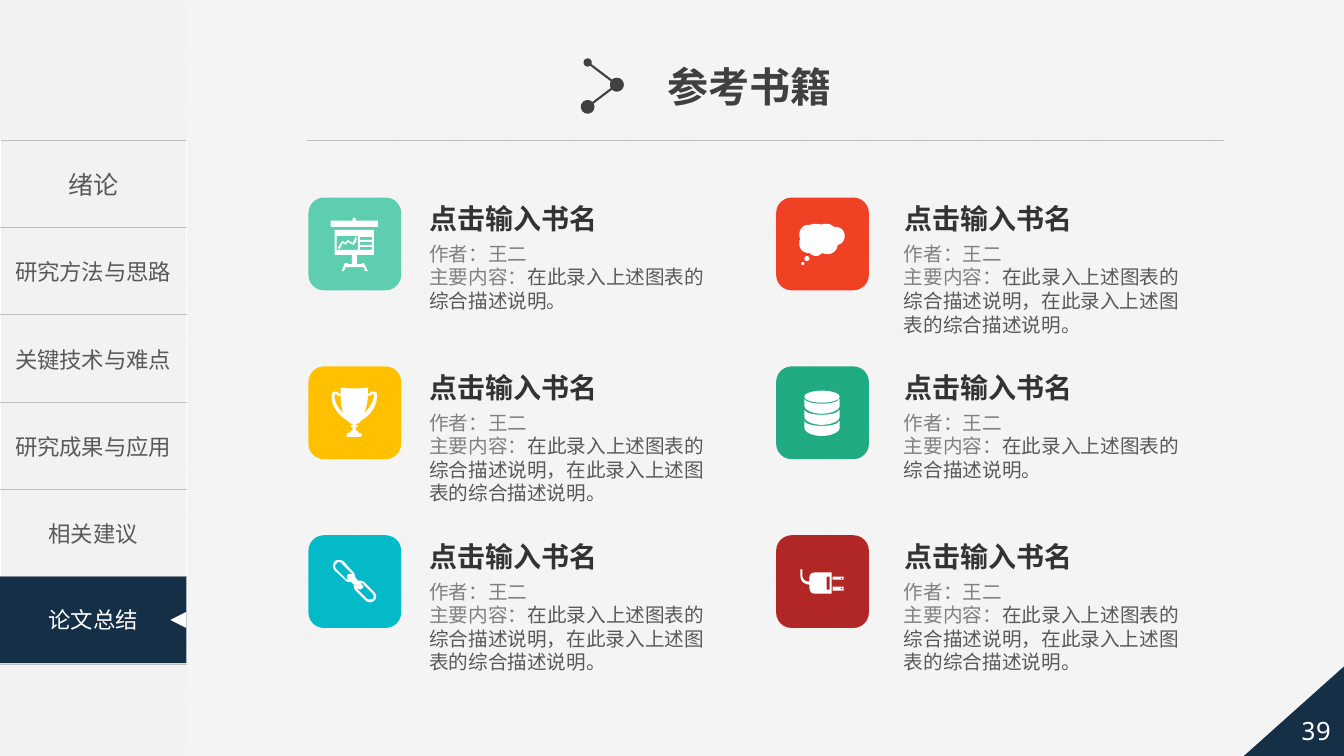
"""Build the reference books slide with its chapter sidebar."""
from dataclasses import dataclass

from lxml.etree import SubElement
from pptx import Presentation
from pptx.dml.color import RGBColor
from pptx.enum.dml import MSO_PATTERN
from pptx.enum.shapes import MSO_CONNECTOR, MSO_SHAPE as Kind
from pptx.enum.text import MSO_ANCHOR as Anchor, PP_ALIGN as Align
from pptx.oxml.ns import qn
from pptx.util import Pt

WHITE, PALE, RULE, GREY, SLATE, DARK, INK, NAVY = map(
    RGBColor.from_string, "FFFFFF F2F2F2 BFBFBF 808080 595959 404040 333333 152F47".split())
MINT, RED, GOLD, GREEN, CYAN, BRICK = map(
    RGBColor.from_string, "5DCEAF F14124 FFC000 21AB82 05BAC8 B12725".split())

SANS = "Noto Sans CJK SC"
UNIT, FINE = 0.72, 100
SIDE, TOP, ROW = 133.2, 100.08, 62.4
COLS, TEXTS = (220.32, 554.4), (299.52, 638.64)
FIRST, STEP, TILE = 141.12, 120.6, 66.24
NOTE = "在此录入上述图表的综合描述说明"
SHORT, LONG = f"{NOTE}。", f"{NOTE}，{NOTE}。"
CHAPTERS = ("绪论", "研究方法与思路", "关键技术与难点", "研究成果与应用", "相关建议", "论文总结")

@dataclass(frozen=True)
class Icon:
    forms: tuple[tuple[str, ...], ...]
    dots: tuple[tuple[float, ...], ...] = ()

@dataclass(frozen=True)
class Book:
    color: RGBColor
    icon: Icon
    about: str

def rect(left: int, top: int, right: int, base: int) -> str:
    return f"{left},{top} {right},{top} {right},{base} {left},{base}"

def disc(y: int) -> str:
    return (f"62,{y} 62,{y + 3}~55,{y + 5}~45,{y + 5} 36,{y + 5}~29,{y + 3}~28,{y} 28,{y + 7} "
            f"28,{y + 11}~36,{y + 15}~45,{y + 15} 55,{y + 15}~63,{y + 11}~63,{y + 7} 63,{y + 1}")

def prong(top: int, base: int, mid: int) -> tuple[str, str]:
    return rect(56, top, 67, base), f"64,{mid} 65,{mid - 1} 66,{mid} 65,{mid + 1}"

BOARD = Icon((
    ("47,23 47,21 47,21~46,20~45,20 45,20~44,21~44,21 44,23 22,23 22,29 69,29 69,23",),
    ("65,57 65,32 26,32 26,57 43,57 43,66 39,66 39,65 36,65 33,73 35,73 37,69 55,69 "
     "56,73 59,73 55,65 53,65 53,66 48,66 48,57",
     *(rect(51, y, 63, y + 3) for y in (39, 44, 49)), rect(28, 38, 49, 52)),
    ("45,43 44,45 42,44 39,42 38,43 37,45 34,43 33,44 29,50 31,51 34,45 36,46 37,47 "
     "39,44 41,45 45,47 47,44 48,41 47,39",)))
CLOUD = Icon(((
    "68,38 68,33~64,29~59,29 58,29~57,29~57,29 55,27~53,26~50,26 48,26~46,26~45,27 "
    "43,26~41,26~40,26 37,26~36,26~34,27 33,27~33,27~32,27 27,27~23,31~23,37 "
    "23,38~23,40~24,41 23,42~23,44~23,46 23,51~27,55~32,55 33,55 34,56~37,58~40,58 "
    "42,58~44,56~46,55 48,56~49,56~52,56 56,56~61,52~61,47 65,46~68,43~68,38",),),
    ((28, 58, 5, 5), (25, 64, 3, 3)))
CUP = Icon(((
    "52,54 69,44~68,30~68,30 68,29 68,29~69,25~65,25 63,25 61,25~61,27~61,27 59,27 59,21 "
    "43,23~32,21~32,21 32,27 30,27 30,27~30,25~28,25 27,25 23,25~23,29~23,29 23,30 "
    "23,30~22,44~39,54 39,54~41,57~44,57 44,58 44,58~42,58~42,59 42,61~44,60~44,60 44,62 "
    "44,62~43,64~42,64 42,66~40,66~40,66 40,66~38,66~38,68 38,68~37,70~40,70 51,70 "
    "53,70~53,68~53,68 53,68~53,66~51,66 49,66~49,64~49,64 49,64~47,64~47,62 47,60 "
    "47,60~49,61~49,59 49,58~47,58~47,58 47,57 49,57~51,56~52,54",
    "59,29 61,29 63,29~63,27~63,27 65,27~65,29~65,29 65,30 65,30~64,38~55,47 57,43~59,35~59,29",
    "35,47 26,38~26,31~26,31 26,29 26,29~26,27~28,27 28,27~28,29~29,29 32,29 32,35~33,43~35,47"),))
STACK = Icon(tuple((disc(y),) for y in (43, 54, 32)), ((28, 24, 35, 12),))
CHAIN = Icon(((
    "65,56 56,47 54,45~52,45~49,45 46,41 46,40~46,37~44,36 35,26 32,24~28,24~26,26 "
    "24,29~24,32~26,35 36,44 37,46~40,47~42,46 45,49 45,51~45,53~47,55 57,65 "
    "59,67~63,67~65,65 68,63~68,59~65,56",
    "37,43 28,34 26,32~26,29~28,28 29,26~32,26~33,28 42,37 43,37~43,39~43,39 "
    "42,38~40,38~39,39 38,40~38,42~39,43 40,44 39,44~37,43~37,43",
    "64,63 62,64~59,64~58,63 49,54 48,53~48,52~48,52 49,53 51,54~52,54~53,53 "
    "55,52~55,50~53,49 52,47 53,47~54,48~55,49 63,57 65,59~65,62~64,63"),))
PLUG = Icon((
    ("33,42 33,46 26,46~26,40~26,40 26,34 24,34 24,40 24,49~33,49~33,49 33,52 "
     "33,52~33,58~38,58 55,58 55,37 38,37 33,37~33,42~33,42", rect(50, 41, 53, 54)),
    prong(51, 55, 53), prong(41, 44, 43)))
BOOKS = (Book(MINT, BOARD, SHORT), Book(RED, CLOUD, LONG), Book(GOLD, CUP, LONG),
         Book(GREEN, STACK, SHORT), Book(CYAN, CHAIN, LONG), Book(BRICK, PLUG, LONG))

def write(para, text: str, *, size: float, color: RGBColor, font: str = SANS,
          bold: bool = False, align: Align = Align.LEFT) -> None:
    para.alignment = align
    run = para.add_run()
    run.text = text
    run.font.size, run.font.bold, run.font.name = Pt(size), bold, font
    run.font.color.rgb = color
    SubElement(run.font._element, qn("a:ea"), typeface=font)

def paint(shape, color: RGBColor):
    shape.shadow.inherit = False
    shape.fill.solid()
    shape.fill.fore_color.rgb = color
    shape.line.fill.background()
    return shape

def draw(slide, kind: Kind, box: tuple[float, ...], color: RGBColor):
    return paint(slide.shapes.add_shape(kind, *map(Pt, box)), color)

def frame(slide, box: tuple[float, ...], wrap: bool = False):
    area = slide.shapes.add_textbox(*map(Pt, box)).text_frame
    area.word_wrap = wrap
    return area

def link(slide, ends: tuple[float, ...], color: RGBColor, width: float, caps: tuple[str, ...] = ()) -> None:
    line = slide.shapes.add_connector(MSO_CONNECTOR.STRAIGHT, *map(Pt, ends))
    line.line.color.rgb, line.line.width = color, Pt(width)
    props = line._element.spPr
    for tag, cap in zip(("a:headEnd", "a:tailEnd"), caps):
        SubElement(props.find(qn("a:ln")), qn(tag), type="oval", w=cap, len=cap)
    SubElement(props, qn("a:effectLst"))

def trace(text: str) -> list[tuple[int, ...]]:
    points: list[tuple[float, ...]] = []
    for part in text.split():
        knots = [tuple(map(float, node.split(","))) for node in part.split("~")]
        if len(knots) == 1:
            points += knots
            continue
        curve = [points[-1], *knots]
        for t in (n / 8 for n in range(1, 9)):
            mix = ((1 - t) ** 3, 3 * t * (1 - t) ** 2, 3 * t * t * (1 - t), t ** 3)
            points.append(tuple(sum(m * k[i] for m, k in zip(mix, curve)) for i in (0, 1)))
    return [(round(x * FINE), round(y * FINE)) for x, y in points]

def stamp(slide, icon: Icon, left: float, top: float) -> None:
    for form in icon.forms:
        first, *holes = map(trace, form)
        pen = slide.shapes.build_freeform(*first[0], scale=Pt(UNIT) / FINE)
        pen.add_line_segments(first[1:], close=True)
        for hole in holes:
            pen.move_to(*hole[0])
            pen.add_line_segments(hole[1:], close=True)
        paint(pen.convert_to_shape(Pt(left), Pt(top)), WHITE)
    for x, y, wide, high in icon.dots:
        draw(slide, Kind.OVAL, (left + x * UNIT, top + y * UNIT, wide * UNIT, high * UNIT), WHITE)

def menu(slide) -> None:
    draw(slide, Kind.RECTANGLE, (0, 0, SIDE, 540), PALE)
    size = map(Pt, (0, TOP, SIDE, ROW * len(CHAPTERS)))
    table = slide.shapes.add_table(len(CHAPTERS), 1, *size).table
    table.first_row = table.horz_banding = False
    for n, name in enumerate(CHAPTERS):
        cell = table.cell(n, 0)
        cell.vertical_anchor = Anchor.MIDDLE
        write(cell.text_frame.paragraphs[0], name, size=16 if n else 18, color=SLATE, align=Align.CENTER)
        for side in "TB":
            edge = SubElement(cell._tc.get_or_add_tcPr(), qn(f"a:ln{side}"), w=str(Pt(1)))
            SubElement(SubElement(edge, qn("a:solidFill")), qn("a:srgbClr"), val=str(RULE))
        cell.fill.background()
    mark = draw(slide, Kind.RECTANGLE, (0, 411.84, SIDE, 61.92), NAVY).text_frame
    mark.vertical_anchor = Anchor.MIDDLE
    write(mark.paragraphs[0], CHAPTERS[-1], size=16, color=WHITE, align=Align.CENTER)
    draw(slide, Kind.ISOSCELES_TRIANGLE, (121.68, 437.04, 11.52, 11.52), WHITE).rotation = 270

def card(slide, book: Book, row: int, col: int) -> None:
    left, top, text = COLS[col], FIRST + row * STEP, TEXTS[col]
    draw(slide, Kind.ROUNDED_RECTANGLE, (left, top, TILE, TILE), book.color)
    stamp(slide, book.icon, left, top)
    name = frame(slide, (text, top - 0.72, 135.36, 31.68))
    write(name.paragraphs[0], "点击输入书名", size=20, color=INK, bold=True)
    notes = frame(slide, (text, top + 28.08, 213.84, 58.32 if book.about == SHORT else 74.88), True)
    write(notes.paragraphs[0], "作者：王二", size=14, color=GREY)
    about = notes.add_paragraph()
    write(about, "主要内容：", size=14, color=GREY)
    write(about, book.about, size=14, color=SLATE)

def main() -> None:
    deck = Presentation()
    deck.slide_width, deck.slide_height = Pt(960), Pt(540)
    slide = deck.slides.add_slide(deck.slide_layouts[6])
    back = slide.background.fill
    back.patterned()
    back.pattern = MSO_PATTERN.LIGHT_UPWARD_DIAGONAL
    back.fore_color.rgb, back.back_color.rgb = WHITE, PALE
    menu(slide)
    link(slide, (219.6, TOP, 874.08, TOP), RULE, 0.5)
    corner = draw(slide, Kind.RIGHT_TRIANGLE, (887.76, 473.76, 74.88, 66.96), NAVY)
    corner._element.spPr.xfrm.set("flipH", "1")
    page = frame(slide, (914, 501.84, 52, 39.6))
    page.vertical_anchor = Anchor.MIDDLE
    write(page.paragraphs[0], "39", size=18, color=WHITE, font="Noto Sans Mono", align=Align.CENTER)
    title = frame(slide, (469.44, 40.32, 133.2, 42.48))
    write(title.paragraphs[0], "参考书籍", size=29.3, color=DARK, font="Arial", bold=True)
    link(slide, (419.76, 44.64, 440.64, 60.48), DARK, 1.5, ("med", "lg"))
    link(slide, (440.64, 60.48, 419.76, 76.32), DARK, 1.5, ("lg", "lg"))
    for n, book in enumerate(BOOKS):
        card(slide, book, *divmod(n, 2))
    deck.save("out.pptx")

if __name__ == "__main__":
    main()
